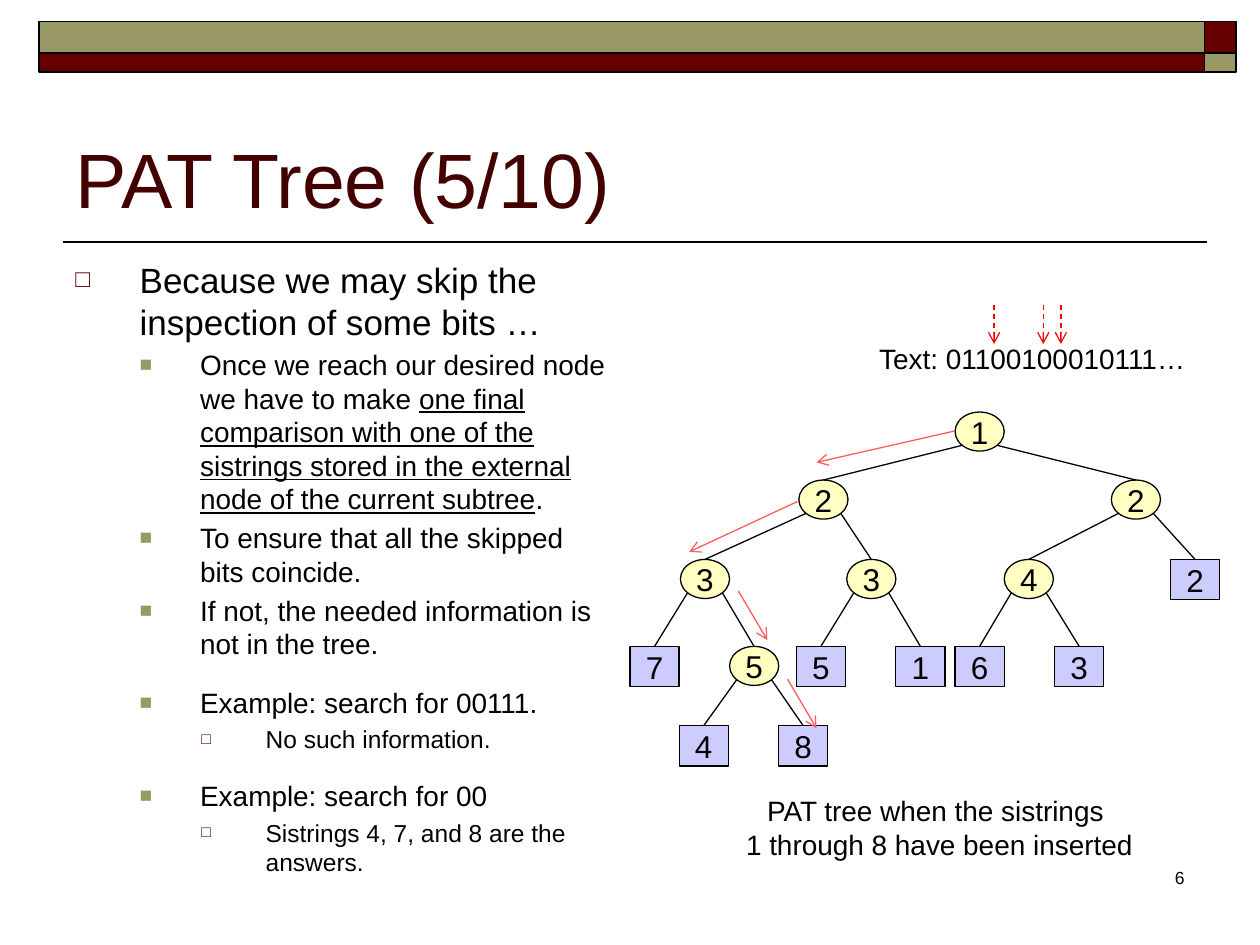
from dataclasses import dataclass
from math import sqrt
from typing import NamedTuple

import pptx
import pptx.dml.color
import pptx.enum.dml
import pptx.enum.shapes
import pptx.enum.text
import pptx.oxml
import pptx.oxml.ns
import pptx.util

PX = 9144  # EMU per px, 100 px to the inch
Pt = pptx.util.Pt
SHAPE = pptx.enum.shapes.MSO_SHAPE
ALIGN = pptx.enum.text.PP_ALIGN
ANCHOR = pptx.enum.text.MSO_ANCHOR


@dataclass(frozen=True)
class Theme:
    font: str = "Arial"
    ink: str = "000000"
    title: str = "420000"
    maroon: str = "660000"
    olive: str = "999966"
    inner: str = "FFFFC2"
    leaf: str = "CCCCFF"
    path_arrow: str = "FF5C5C"
    bit_arrow: str = "FF0000"
    title_pt: int = 44
    node_pt: int = 18
    label_pt: int = 16
    number_pt: int = 10
    frame_line: float = 1
    tree_line: float = 0.75


class Level(NamedTuple):
    size: int
    indent: int
    hang: int
    bullet: str
    color: str
    percent: int


class Item(NamedTuple):
    level: int
    before: float
    runs: list[str]  # every second run is underlined


class Node(NamedTuple):
    key: str
    label: str
    x: int
    y: int
    parent: str = ""
    leaf: bool = False


class Arrow(NamedTuple):
    x1: int
    y1: int
    x2: int
    y2: int


T = Theme()
NODE_W, INNER_H, LEAF_H = 39, 31, 32
ROWS = [327, 381, 444, 513, 576]

LEVELS = [
    Level(20, 51, 51, "□", T.maroon, 70),
    Level(16, 99, 48, "■", T.olive, 75),
    Level(14, 151, 51, "□", T.maroon, 65),
]
ITEMS = [
    Item(0, 2, ["Because we may skip the inspection of some bits …"]),
    Item(1, 3, ["Once we reach our desired node we have to make ",
                "one final comparison with one of the sistrings stored in the "
                "external node of the current subtree", "."]),
    Item(1, 3, ["To ensure that all the skipped bits coincide."]),
    Item(1, 3, ["If not, the needed information is not in the tree."]),
    Item(1, 14.4, ["Example: search for 00111."]),
    Item(2, 3, ["No such information."]),
    Item(1, 14.4, ["Example: search for 00"]),
    Item(2, 3, ["Sistrings 4, 7, and 8 are the answers."]),
]
# Keys spell the way down from the root: 0 is left, 1 is right
NODES = [
    Node("r", "1", 758, ROWS[0]),
    Node("r0", "2", 634, ROWS[1], "r"),
    Node("r1", "2", 882, ROWS[1], "r"),
    Node("r00", "3", 540, ROWS[2], "r0"),
    Node("r01", "3", 672, ROWS[2], "r0"),
    Node("r10", "4", 797, ROWS[2], "r1"),
    Node("r11", "2", 929, ROWS[2], "r1", True),
    Node("r000", "7", 500, ROWS[3], "r00", True),
    Node("r001", "5", 579, ROWS[3], "r00"),
    Node("r010", "5", 632, ROWS[3], "r01", True),
    Node("r011", "1", 711, ROWS[3], "r01", True),
    Node("r100", "6", 758, ROWS[3], "r10", True),
    Node("r101", "3", 837, ROWS[3], "r10", True),
    Node("r0010", "4", 539, ROWS[4], "r001", True),
    Node("r0011", "8", 618, ROWS[4], "r001", True),
]
PATH_ARROWS = [Arrow(758, 342, 648, 367), Arrow(633, 398, 547, 438),
               Arrow(586, 469, 609, 508), Arrow(625, 539, 648, 578)]
BIT_ARROWS = [Arrow(x, 242, x, 273) for x in (789, 828, 842)]


def rgb(color: str) -> pptx.dml.color.RGBColor:
    return pptx.dml.color.RGBColor.from_string(color)


def add_run(p, text: str, size: float, color: str = T.ink, underline: bool = False) -> None:
    r = p.add_run()
    r.text = text
    r.font.name, r.font.size = T.font, Pt(size)
    r.font.color.rgb = rgb(color)
    if underline:
        r.font.underline = True


def add_box(s, kind, x: int, y: int, w: int, h: int, fill: str, line: float):
    sp = s.shapes.add_shape(kind, x * PX, y * PX, w * PX, h * PX)
    sp.shadow.inherit = False
    sp.fill.solid()
    sp.fill.fore_color.rgb = rgb(fill)
    sp.line.color.rgb = rgb(T.ink)
    sp.line.width = Pt(line)
    return sp


def add_line(s, x1: float, y1: float, x2: float, y2: float, color: str = T.ink,
             width: float = T.tree_line, arrow: bool = False, dash: bool = False):
    ends = [round(v * PX) for v in (x1, y1, x2, y2)]
    c = s.shapes.add_connector(pptx.enum.shapes.MSO_CONNECTOR.STRAIGHT, *ends)
    c.line.color.rgb = rgb(color)
    c.line.width = Pt(width)
    if dash:
        c.line.dash_style = pptx.enum.dml.MSO_LINE.DASH
    if arrow:
        add_xml(c.line._get_or_add_ln(), 'tailEnd', type="arrow")
    add_xml(c._element.spPr, "effectLst")
    return c


def add_xml(parent, tag: str, **attrs: str):
    el = pptx.oxml.parse_xml(f'<a:{tag} {pptx.oxml.ns.nsdecls("a")}/>')
    for name, value in attrs.items():
        el.set(name, value)
    parent.append(el)
    return el


def add_text(s, x: int, y: int, w: int, h: int, lines: list[str], size: float,
             color: str = T.ink, align=ALIGN.LEFT, anchor=ANCHOR.TOP, wrap: bool = True):
    tf = s.shapes.add_textbox(x * PX, y * PX, w * PX, h * PX).text_frame
    tf.word_wrap, tf.vertical_anchor = wrap, anchor
    for i, line in enumerate(lines):
        p = tf.add_paragraph() if i else tf.paragraphs[0]
        p.alignment = align
        add_run(p, line, size, color)
    return tf


def add_item(p, item: Item) -> None:
    lv = LEVELS[item.level]
    p.level = item.level
    p.space_before = Pt(item.before)
    pPr = p._p.get_or_add_pPr()
    pPr.set("marL", str(lv.indent * PX))
    pPr.set("indent", str(-lv.hang * PX))
    add_xml(add_xml(pPr, "buClr"), "srgbClr", val=lv.color)
    add_xml(pPr, "buSzPct", val=str(lv.percent * 1000))
    add_xml(pPr, "buFont", typeface=T.font)
    add_xml(pPr, "buChar", char=lv.bullet)
    for i, text in enumerate(item.runs):
        add_run(p, text, lv.size, underline=i % 2 == 1)


def add_tree(s, nodes: list[Node]) -> None:
    shapes = {}
    for n in nodes:
        kind, h, fill = ((SHAPE.RECTANGLE, LEAF_H, T.leaf) if n.leaf
                         else (SHAPE.OVAL, INNER_H, T.inner))
        sp = add_box(s, kind, n.x, n.y, NODE_W, h, fill, T.tree_line)
        tf = sp.text_frame
        tf.word_wrap, tf.vertical_anchor = False, ANCHOR.MIDDLE
        tf.paragraphs[0].alignment = ALIGN.CENTER
        add_run(tf.paragraphs[0], n.label, T.node_pt)
        shapes[n.key] = sp
    # Edges leave an ellipse at its lower diagonal and end on top of the child
    by_key = {n.key: n for n in nodes}
    for n in nodes:
        if n.parent:
            up = by_key[n.parent]
            side = 1 if n.key.endswith("1") else -1
            x1 = up.x + NODE_W / 2 * (1 + side / sqrt(2))
            y1 = up.y + INNER_H / 2 * (1 + 1 / sqrt(2))
            c = add_line(s, x1, y1, n.x + NODE_W / 2, n.y)
            c.end_connect(shapes[n.key], 0)


def main() -> None:
    prs = pptx.Presentation()
    prs.slide_width, prs.slide_height = 1000 * PX, 750 * PX
    s = prs.slides.add_slide(prs.slide_layouts[6])

    # Header bands and title rule
    add_line(s, 50, 192, 958, 192, width=T.frame_line)
    for y, h, wide, corner in ((17, 25, T.olive, T.maroon), (42, 15, T.maroon, T.olive)):
        add_box(s, SHAPE.RECTANGLE, 31, y, 925, h, wide, T.frame_line)
        add_box(s, SHAPE.RECTANGLE, 956, y, 25, h, corner, T.frame_line)

    # Title, bullets and page number
    add_text(s, 50, 58, 900, 125, ["PAT Tree (5/10)"], T.title_pt, T.title, anchor=ANCHOR.BOTTOM)
    tf = add_text(s, 50, 200, 442, 519, [], T.label_pt)
    for i, item in enumerate(ITEMS):
        add_item(tf.add_paragraph() if i else tf.paragraphs[0], item)
    add_text(s, 742, 683, 208, 50, ["6"], T.number_pt, align=ALIGN.RIGHT)

    # Tree with its labels
    add_tree(s, NODES)
    add_text(s, 580, 625, 331, 64, ["PAT tree when the sistrings ", "1 through 8 have been inserted"],
             T.label_pt, align=ALIGN.CENTER, wrap=False)
    add_text(s, 688, 266, 266, 37, ["Text: 01100100010111…"], T.label_pt, wrap=False)

    # Search path and inspected bits
    for a in PATH_ARROWS:
        add_line(s, *a, color=T.path_arrow, arrow=True)
    for a in BIT_ARROWS:
        add_line(s, *a, color=T.bit_arrow, arrow=True, dash=True)

    prs.save("out.pptx")


if __name__ == "__main__":
    main()
